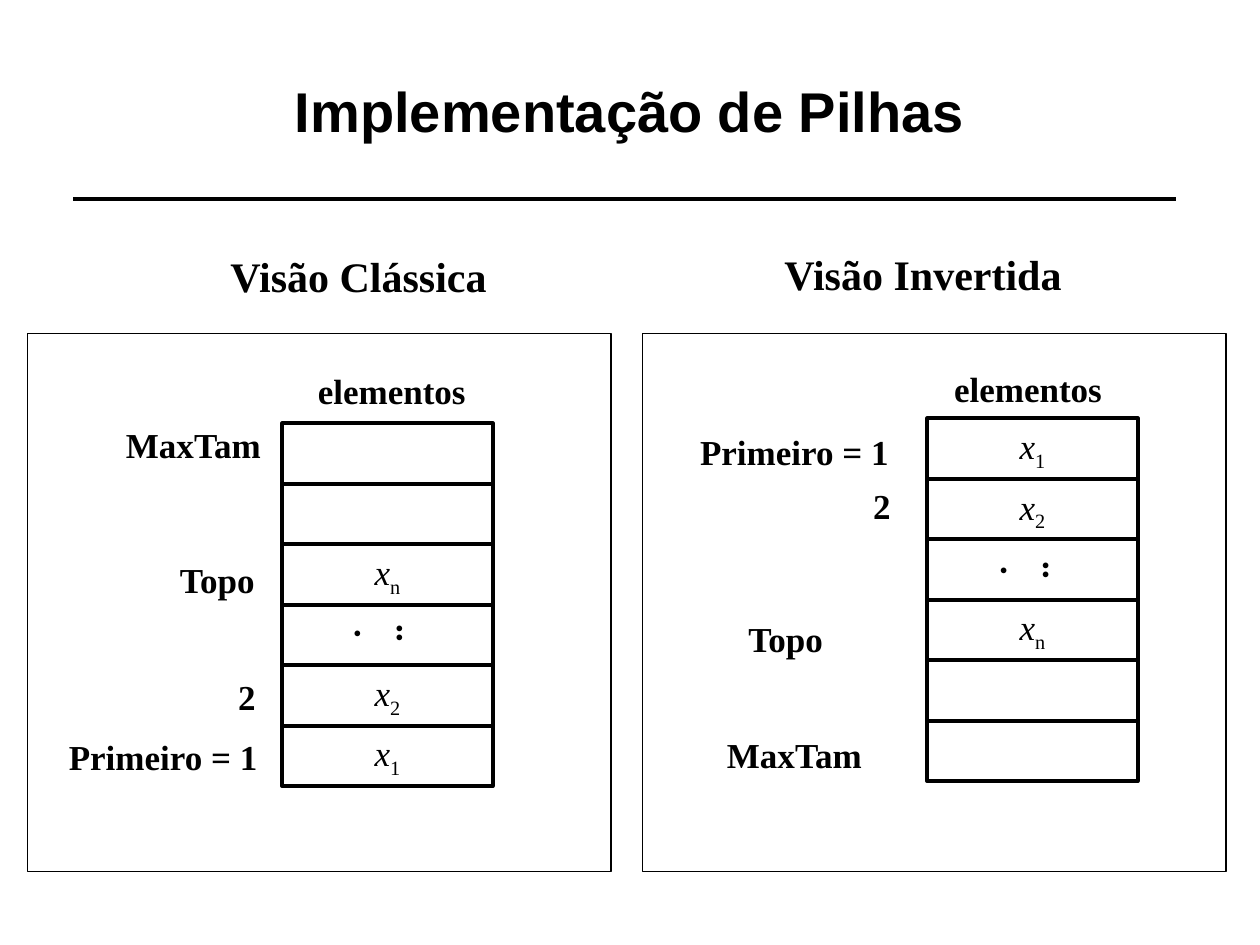
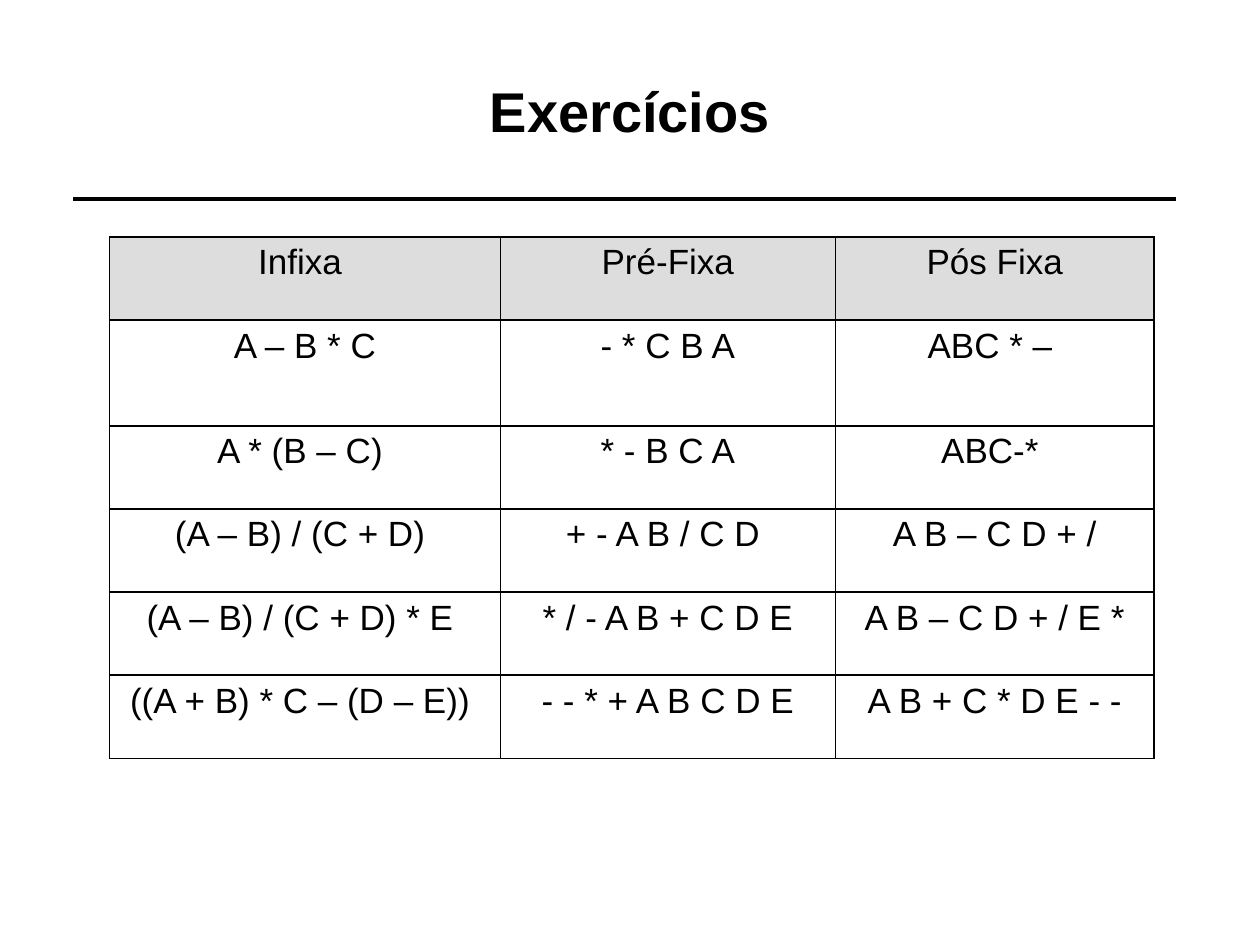
from lxml import etree
from pptx import Presentation
from pptx.dml.color import RGBColor
from pptx.enum.shapes import MSO_CONNECTOR, MSO_SHAPE
from pptx.enum.text import MSO_ANCHOR, MSO_AUTO_SIZE, PP_ALIGN
from pptx.oxml.ns import qn
from pptx.util import Inches, Pt

STRAIGHT, RECT = MSO_CONNECTOR.STRAIGHT, MSO_SHAPE.RECTANGLE
TOP, MIDDLE = MSO_ANCHOR.TOP, MSO_ANCHOR.MIDDLE
GROW, CENTER = MSO_AUTO_SIZE.SHAPE_TO_FIT_TEXT, PP_ALIGN.CENTER

# Shared style
BLACK, GREY = "000000", "DDDDDD"
SANS, SERIF = "Arial", "Times New Roman"

# Stack slide: cells run from top to bottom, "" is empty, "..." is the gap,
# anything else is the subscript of x; labels are (text, left, top, width)
STACK_TITLE = "Implementação de Pilhas"
CELL_W, CELL_H = 1.67, 0.48
VIEWS = [
    {
        "heading": ("Visão Clássica", 1.14, 1.94, 3.41),
        "frame_left": 0.22,
        "stack": (2.24, 3.36),
        "cells": ["", "", "n", "...", "2", "1"],
        "dots": (2.95, 4.86),
        "labels": [
            ("elementos", 2.31, 2.88, 1.6),
            ("MaxTam", 0.49, 3.31, 2.09),
            ("Topo", 0.68, 4.38, 2.09),
            ("2", 1.63, 5.31, 0.66),
            ("Primeiro = 1", 0.25, 5.79, 2.09),
        ],
    },
    {
        "heading": ("Visão Invertida", 5.08, 1.92, 4.49),
        "frame_left": 5.1,
        "stack": (7.36, 3.32),
        "cells": ["1", "2", "...", "n", "", ""],
        "dots": (8.08, 4.36),
        "labels": [
            ("elementos", 7.36, 2.87, 1.6),
            ("Primeiro = 1", 5.26, 3.37, 2.09),
            ("2", 6.67, 3.8, 0.66),
            ("Topo", 5.19, 4.85, 2.09),
            ("MaxTam", 5.26, 5.77, 2.09),
        ],
    },
]

# Exercise slide
EXERCISE_TITLE = "Exercícios"
COL_WIDTHS = [3.1, 2.66, 2.53]
ROW_HEIGHTS = [0.66, 0.84, 0.66, 0.66, 0.66, 0.66]
EXPRESSIONS = [
    ("Infixa ", "Pré-Fixa", "Pós Fixa"),
    ("A – B * C", "- * C B A", "ABC * – "),
    ("A * (B – C) ", "* - B C A", "ABC-* "),
    ("(A – B) / (C + D) ", "+ - A B / C D ", "A B – C D + /"),
    ("(A – B) / (C + D) * E ", "* / - A B + C D E", "A B – C D + / E *"),
    ("((A + B) * C – (D – E)) ", "- - * + A B C D E", "A B + C * D E - -"),
]


def rgb(color):
    return RGBColor.from_string(color)


def style_run(r, font, size, bold=False, italic=False):
    r.font.name, r.font.size = font, Pt(size)
    r.font.bold, r.font.italic = bold, italic
    r.font.color.rgb = rgb(BLACK)


def add_text(slide, text, left, top, width, height, size=20, font=SERIF, anchor=TOP):
    sp = slide.shapes.add_textbox(*map(Inches, (left, top, width, height)))
    tf = sp.text_frame
    tf.word_wrap = True
    tf.vertical_anchor = anchor
    p = tf.paragraphs[0]
    p.text, p.alignment = text, CENTER
    style_run(p.runs[0], font, size, bold=True)
    return sp


def add_box(slide, left, top, width, height, line_width):
    sp = slide.shapes.add_shape(RECT, *map(Inches, (left, top, width, height)))
    sp.shadow.inherit = False
    sp.fill.background()
    sp.line.color.rgb = rgb(BLACK)
    sp.line.width = Pt(line_width)
    return sp


def add_slide(prs, title):
    """Blank slide with the common title and rule."""
    slide = prs.slides.add_slide(prs.slide_layouts[6])
    rule = slide.shapes.add_connector(
        STRAIGHT, Inches(0.58), Inches(1.58), Inches(9.33), Inches(1.58))
    rule.line.color.rgb = rgb(BLACK)
    rule.line.width = Pt(2.25)
    etree.SubElement(rule._element.spPr, qn("a:effectLst"))
    add_text(slide, title, 0.75, 0.25, 8.5, 1.25, 32, SANS, MIDDLE)
    return slide


def add_dots(slide, left, top):
    """Ellipsis set in vertical text."""
    sp = add_text(slide, "...", left, top, 0.53, 0.37)
    tf = sp.text_frame
    tf.margin_left = tf.margin_right = Inches(0.05)
    tf.margin_top = tf.margin_bottom = Inches(0.1)
    tf.auto_size = GROW
    tf._txBody.bodyPr.set("vert", "eaVert")


def write_element(sp, subscript):
    tf = sp.text_frame
    tf.vertical_anchor = TOP
    p = tf.paragraphs[0]
    p.alignment = CENTER
    for text in ("x", subscript):
        r = p.add_run()
        r.text = text
        style_run(r, SERIF, 20, italic=text == "x")
    r.font._element.set("baseline", "-25000")


def add_view(slide, view):
    add_box(slide, view["frame_left"], 2.65, 4.63, 4.27, 0.75)
    add_text(slide, *view["heading"], 0.5, 24)
    left, top = view["stack"]
    for i, content in enumerate(view["cells"]):
        sp = add_box(slide, left, top + i * CELL_H, CELL_W, CELL_H, 2.25)
        if content == "...":
            add_dots(slide, *view["dots"])
        elif content:
            write_element(sp, content)
    for label in view["labels"]:
        add_text(slide, *label, 0.44)


def set_borders(cell, widths):
    tcPr = cell._tc.get_or_add_tcPr()
    for side, width in zip("LRTB", widths):
        ln = etree.SubElement(tcPr, qn(f"a:ln{side}"), w=str(Pt(width)))
        fill = etree.SubElement(ln, qn("a:solidFill"))
        etree.SubElement(fill, qn("a:srgbClr"), val=BLACK)


def add_expressions(slide):
    frame = slide.shapes.add_table(
        len(ROW_HEIGHTS), len(COL_WIDTHS), Inches(0.87), Inches(1.88),
        Inches(sum(COL_WIDTHS)), Inches(sum(ROW_HEIGHTS)))
    table = frame.table
    table.first_row = table.horz_banding = False
    for col, width in zip(table.columns, COL_WIDTHS):
        col.width = Inches(width)
    outer, inner = 1.08, 0.45
    last = len(COL_WIDTHS) - 1
    for i, (height, texts) in enumerate(zip(ROW_HEIGHTS, EXPRESSIONS)):
        table.rows[i].height = Inches(height)
        for j, text in enumerate(texts):
            cell = table.cell(i, j)
            set_borders(cell, (outer if j == 0 else inner,
                               outer if j == last else inner, outer, outer))
            if i == 0:
                cell.fill.solid()
                cell.fill.fore_color.rgb = rgb(GREY)
            else:
                cell.fill.background()
            p = cell.text_frame.paragraphs[0]
            p.text, p.alignment = text, CENTER
            style_run(p.runs[0], SANS, 20)


def main():
    prs = Presentation()
    prs.slide_width, prs.slide_height = Inches(10), Inches(7.5)
    slide = add_slide(prs, STACK_TITLE)
    for view in VIEWS:
        add_view(slide, view)
    add_expressions(add_slide(prs, EXERCISE_TITLE))
    prs.save("out.pptx")


if __name__ == "__main__":
    main()
